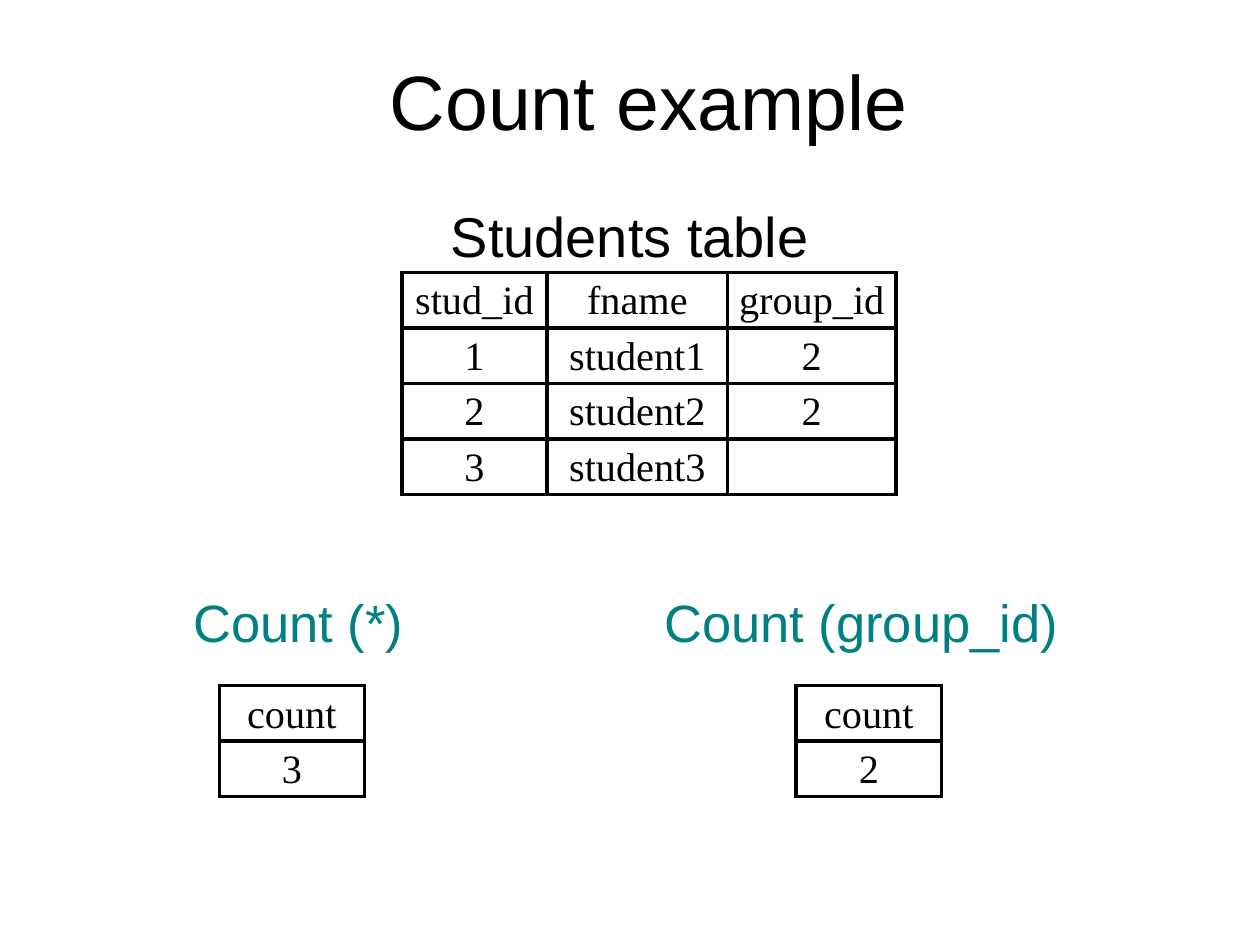
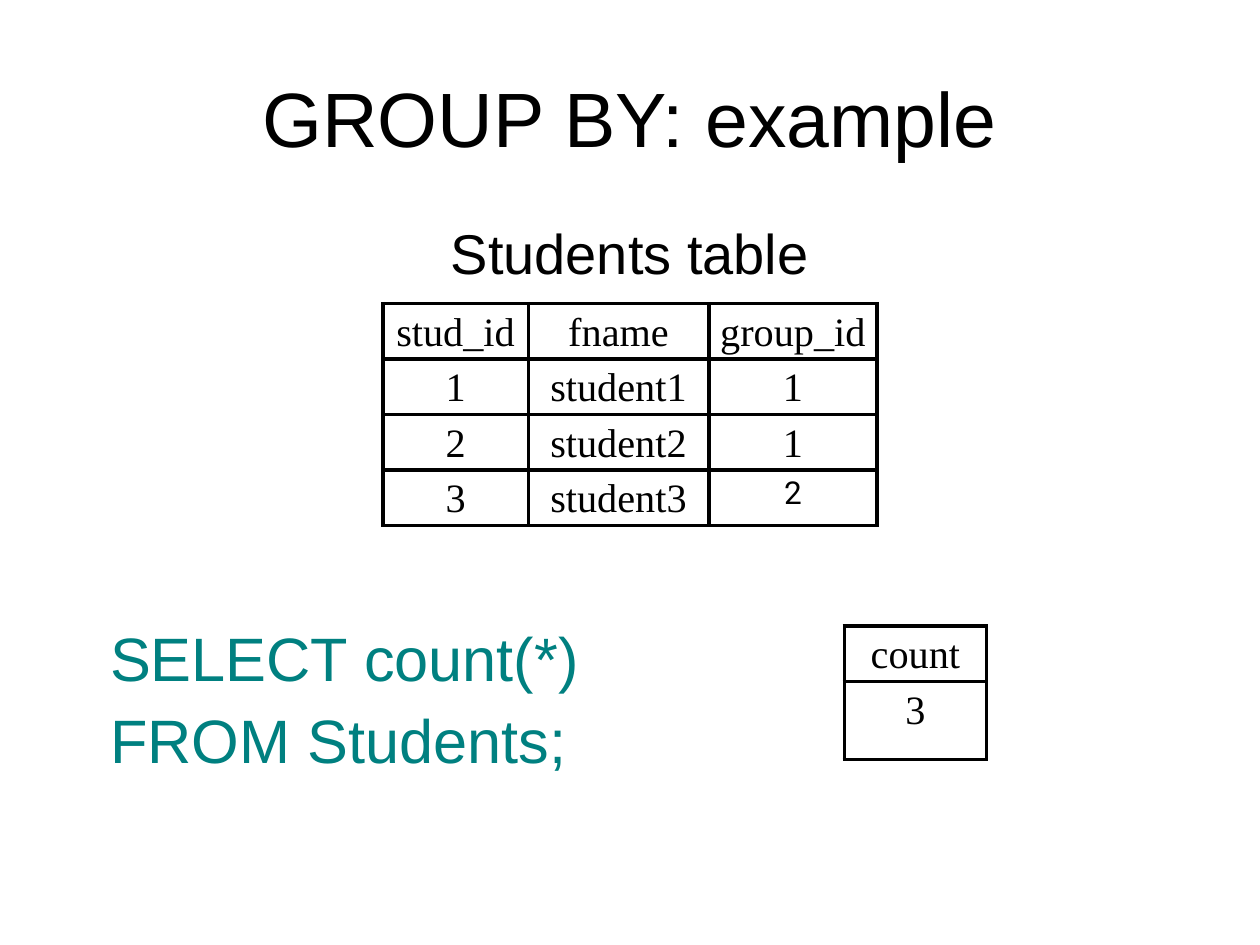
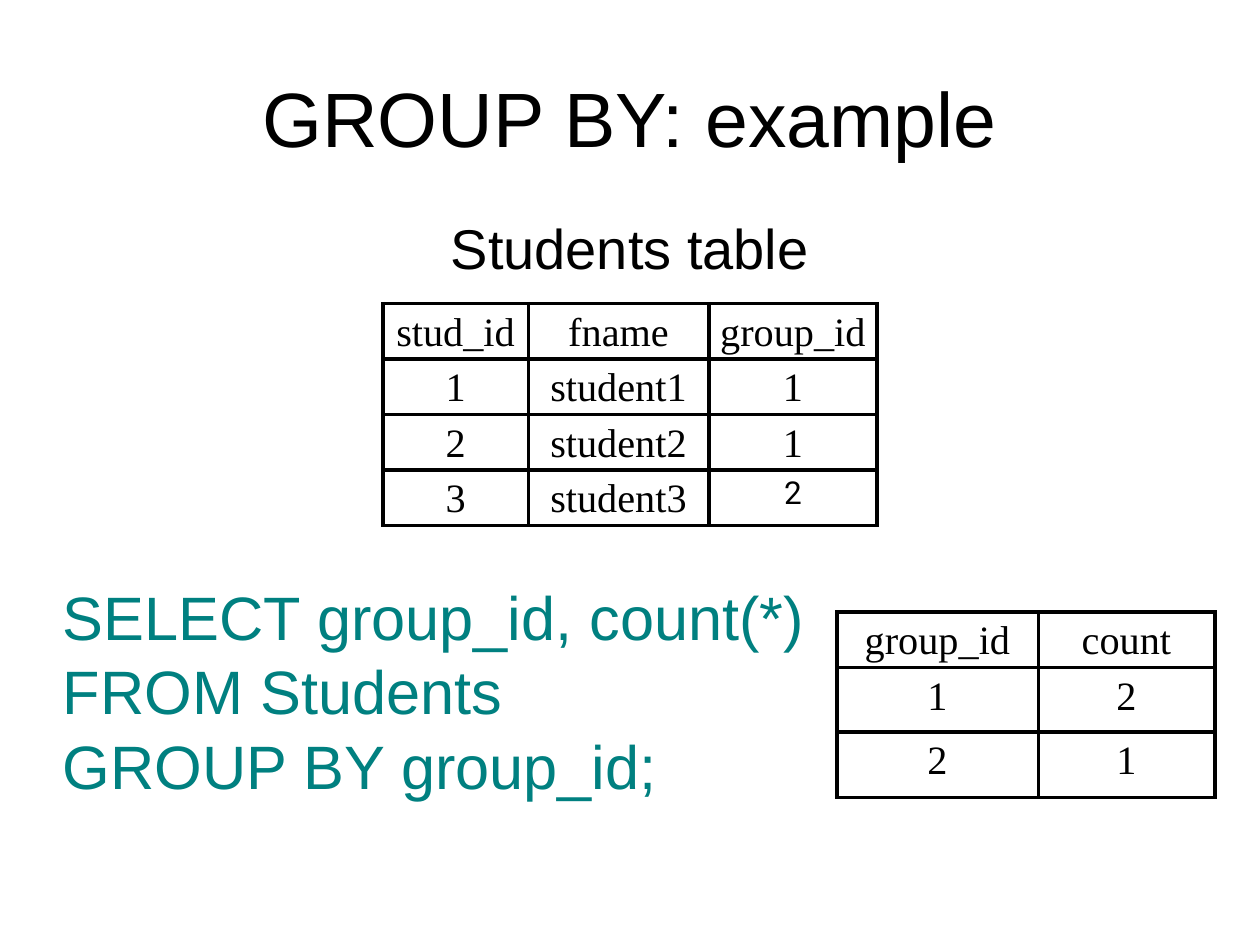
import dataclasses
import pptx
import pptx.util
import pptx.dml.color
import pptx.enum.text
import pptx.oxml.ns
from lxml import etree

Cm = pptx.util.Cm
Pt = pptx.util.Pt
RGBColor = pptx.dml.color.RGBColor
PP_ALIGN = pptx.enum.text.PP_ALIGN
MSO_ANCHOR = pptx.enum.text.MSO_ANCHOR
qn = pptx.oxml.ns.qn


@dataclasses.dataclass(frozen=True)
class Theme:
    black: str = "000000"
    teal: str = "008080"
    body_font: str = "Arial"
    cell_font: str = "Times New Roman"
    odd_font: str = "Roboto"
    title: float = 44
    heading: float = 32
    query: float = 35
    label: float = 30
    cell: float = 23
    odd_cell: float = 18
    border: float = 2.25


theme = Theme()


def add_text(slide, box, lines, size, color=theme.black, align=PP_ALIGN.CENTER,
             anchor=MSO_ANCHOR.TOP, gap=0):
    tf = slide.shapes.add_textbox(*[Cm(v) for v in box]).text_frame
    tf.word_wrap = True
    tf.vertical_anchor = anchor
    tf.margin_left = tf.margin_right = tf.margin_top = tf.margin_bottom = 0
    for i, line in enumerate(lines):
        p = tf.paragraphs[0] if i == 0 else tf.add_paragraph()
        p.text = line
        p.alignment = align
        p.space_after = Pt(gap)
        p.font.name = theme.body_font
        p.font.size = Pt(size)
        p.font.color.rgb = RGBColor.from_string(color)


def add_grid(slide, left, top, widths, heights, rows):
    frame = slide.shapes.add_table(len(rows), len(widths), Cm(left), Cm(top),
                                   Cm(sum(widths)), Cm(sum(heights)))
    table = frame.table
    table.first_row = table.horz_banding = False
    for column, width in zip(table.columns, widths):
        column.width = Cm(width)
    for row, height, values in zip(table.rows, heights, rows):
        row.height = Cm(height)
        for cell, value in zip(row.cells, values):
            cell.margin_left = cell.margin_right = cell.margin_top = cell.margin_bottom = 0
            p = cell.text_frame.paragraphs[0]
            p.text = value
            p.alignment = PP_ALIGN.CENTER
            p.line_spacing = 1.15
            p.font.name = theme.cell_font
            p.font.size = Pt(theme.cell)
            p.font.color.rgb = RGBColor.from_string(theme.black)
            tcPr = cell._tc.get_or_add_tcPr()
            for side in ("a:lnL", "a:lnR", "a:lnT", "a:lnB"):
                ln = etree.SubElement(tcPr, qn(side), w=str(Pt(theme.border)))
                fill = etree.SubElement(ln, qn("a:solidFill"))
                etree.SubElement(fill, qn("a:srgbClr"), val=theme.black)
            cell.fill.background()
    return table


prs = pptx.Presentation()
prs.slide_width = Cm(25.4)
prs.slide_height = Cm(19.05)

row_h = 1.03
student_widths = [2.93, 3.64, 3.39]
pages = [
    dict(title="Count example", title_box=(1.65, -0.08, 22.86, 4.19), heading_top=4.06,
         grid=(8.1, 5.49), groups=["2", "2", ""],
         texts=[(3.9, 11.89, ["Count (*)"], theme.label, 0),
                (13.39, 11.89, ["Count (group_id)"], theme.label, 0)],
         results=[(4.42, 13.82, [2.93], [row_h, row_h], [["count"], ["3"]]),
                  (16.05, 13.82, [2.93], [1.12, 1.12], [["count"], ["2"]])]),
    dict(title="GROUP BY: example", title_box=(1.27, 0.76, 22.86, 3.18), heading_top=4.4,
         grid=(7.72, 6.12), groups=["1", "1", "2"],
         texts=[(2.22, 12.5, ["SELECT count(*)", "FROM Students;"], theme.query, 5)],
         results=[(17.02, 12.62, [2.87], [row_h, 1.57], [["count"], ["3"]])]),
    dict(title="GROUP BY: example", title_box=(1.27, 0.76, 22.86, 3.18), heading_top=4.3,
         grid=(7.72, 6.12), groups=["1", "1", "2"],
         texts=[(1.27, 11.68, ["SELECT group_id, count(*)", "FROM Students", "GROUP BY group_id;"],
                 theme.query, 0.4)],
         results=[(16.87, 12.34, [4.06, 3.56], [row_h, 1.3, 1.32],
                   [["group_id", "count"], ["1", "2"], ["2", "1"]])]),
]

for page in pages:
    slide = prs.slides.add_slide(prs.slide_layouts[6])
    add_text(slide, page["title_box"], [page["title"]], theme.title, anchor=MSO_ANCHOR.MIDDLE)
    add_text(slide, (1.27, page["heading_top"], 22.86, 1.3), ["Students table"], theme.heading)
    for left, top, lines, size, gap in page["texts"]:
        add_text(slide, (left, top, 15.5 if size == theme.query else 9, 1.5 * len(lines)),
                 lines, size, theme.teal, PP_ALIGN.LEFT, gap=gap)

    rows = [["stud_id", "fname", "group_id"]]
    for n, group in enumerate(page["groups"], 1):
        rows.append([str(n), f"student{n}", group])
    students = add_grid(slide, *page["grid"], student_widths, [row_h] * len(rows), rows)
    if page["groups"][-1]:
        p = students.cell(3, 2).text_frame.paragraphs[0]
        p.font.name = theme.odd_font
        p.font.size = Pt(theme.odd_cell)

    for result in page["results"]:
        add_grid(slide, *result)

prs.save("out.pptx")
